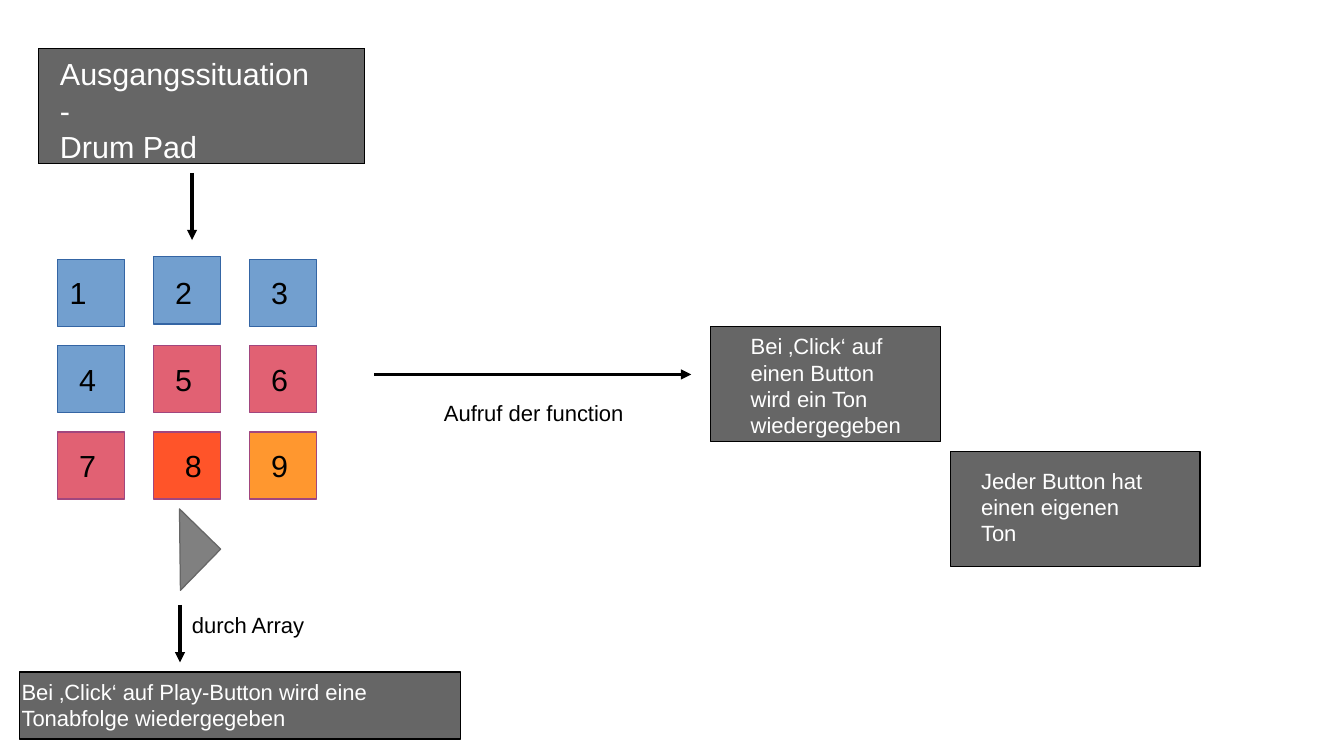
from lxml import etree
from pptx import Presentation
from pptx.dml.color import RGBColor
from pptx.enum import shapes, text
from pptx.oxml.ns import qn
from pptx.util import Cm, Pt

BLACK = RGBColor(0x00, 0x00, 0x00)
WHITE = RGBColor(0xFF, 0xFF, 0xFF)
DARK = RGBColor(0x66, 0x66, 0x66)
GREY = RGBColor(0x80, 0x80, 0x80)
BLUE = RGBColor(0x72, 0x9F, 0xCF)
NAVY = RGBColor(0x34, 0x65, 0xA4)
PINK = RGBColor(0xE1, 0x61, 0x73)
PURPLE = RGBColor(0xA1, 0x46, 0x7E)
RED = RGBColor(0xFF, 0x54, 0x29)
ORANGE = RGBColor(0xFF, 0x97, 0x2F)


def paint(sp, fill, line):
    sp.fill.solid()
    sp.fill.fore_color.rgb = fill
    sp.line.color.rgb = line
    sp.line.width = Pt(0)
    sp.shadow.inherit = False


def write(sp, lines, size, color, left=0.25, top=0.13, right=0.25):
    tf = sp.text_frame
    tf.word_wrap = True
    tf.auto_size = text.MSO_AUTO_SIZE.NONE
    tf.vertical_anchor = text.MSO_ANCHOR.TOP
    tf.margin_left, tf.margin_right = Cm(left), Cm(right)
    tf.margin_top, tf.margin_bottom = Cm(top), Cm(0)
    for i, line in enumerate(lines):
        p = tf.add_paragraph() if i else tf.paragraphs[0]
        p.alignment = text.PP_ALIGN.LEFT
        r = p.add_run()
        r.text = line
        r.font.name = "Arial"
        r.font.size = Pt(size)
        r.font.color.rgb = color


prs = Presentation()
prs.slide_width, prs.slide_height = Cm(28), Cm(15.75)
s = prs.slides.add_slide(prs.slide_layouts[5])

title = s.shapes.title
title.left, title.top, title.width, title.height = Cm(0.8), Cm(1), Cm(6.8), Cm(2.4)
paint(title, DARK, BLACK)
write(title, ["Ausgangssituation -", "Drum Pad"], 18, WHITE, 0.45, 0.15, 0.85)

pad_fills = [BLUE] * 4 + [PINK] * 3 + [RED, ORANGE]
digit_insets = {1: 0.25, 8: 0.65}
pad_shifts = {2: -0.05}
for n, fill in enumerate(pad_fills, 1):
    row, col = divmod(n - 1, 3)
    shift = pad_shifts.get(n, 0)
    pad = s.shapes.add_shape(shapes.MSO_SHAPE.RECTANGLE, Cm(1.2 + 2 * col),
                             Cm(5.4 + 1.8 * row + shift), Cm(1.4), Cm(1.4))
    paint(pad, fill, NAVY if fill == BLUE else PURPLE)
    write(pad, [str(n)], 18, BLACK, digit_insets.get(n, 0.45), 0.32 - shift, 0)

play = s.shapes.add_shape(shapes.MSO_SHAPE.RIGHT_TRIANGLE,
                          Cm(3.15), Cm(10.85), Cm(1.2), Cm(1.2))
play.rotation = 224.3
paint(play, GREY, DARK)

boxes = [
    (14.8, 6.8, 4.8, 2.4, "Bei ‚Click‘ auf einen Button wird ein Ton wiedergegeben",
     0.84, 0.13, 0.45),
    (0.4, 14, 9.2, 1.4, "Bei ‚Click‘ auf Play-Button wird eine Tonabfolge wiedergegeben",
     0.05, 0.13, 0.25),
    (19.8, 9.4, 5.2, 2.4, "Jeder Button hat einen eigenen Ton", 0.64, 0.33, 1.1),
]
for x, y, w, h, words, left, top, right in boxes:
    box = s.shapes.add_shape(shapes.MSO_SHAPE.RECTANGLE, Cm(x), Cm(y), Cm(w), Cm(h))
    paint(box, DARK, BLACK)
    write(box, [words], 13, WHITE, left, top, right)

arrows = [(4, 3.6, 4, 5), (7.8, 7.8, 14.4, 7.8), (3.75, 12.6, 3.75, 13.8)]
for ends in arrows:
    arrow = s.shapes.add_connector(shapes.MSO_CONNECTOR.STRAIGHT, *map(Cm, ends))
    arrow.line.color.rgb = BLACK
    arrow.line.width = Pt(0)
    etree.SubElement(arrow.line._get_or_add_ln(), qn("a:tailEnd"), type="triangle")
    etree.SubElement(arrow._element.spPr, qn("a:effectLst"))

labels = [(3.75, 12.6, 3.2, 0.77, "durch Array"),
          (9, 8.2, 6.2, 1.37, "Aufruf der function")]
for x, y, w, h, words in labels:
    label = s.shapes.add_textbox(Cm(x), Cm(y), Cm(w), Cm(h))
    write(label, [words], 13, BLACK)

prs.save("out.pptx")
